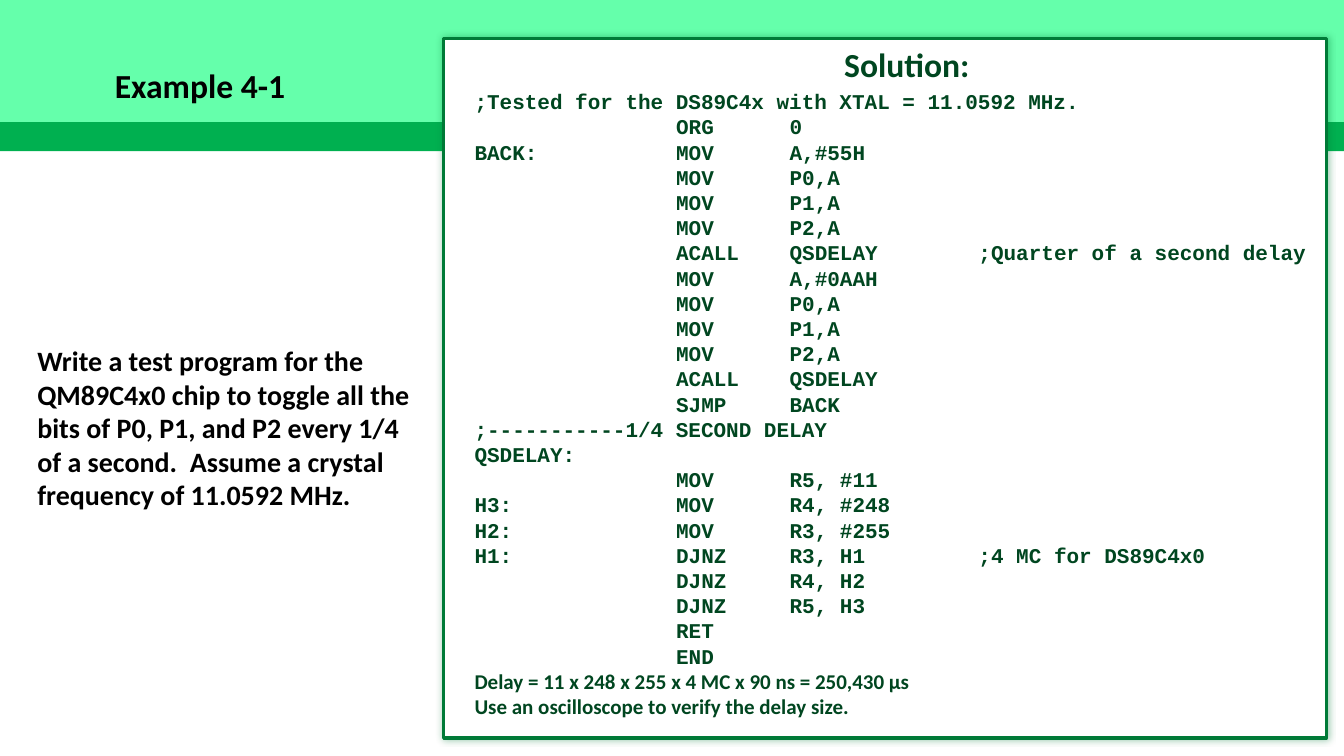
from lxml import etree
from pptx import Presentation
from pptx import util as u
from pptx.dml.color import RGBColor
from pptx.enum import shapes, text
from pptx.oxml.ns import qn

TITLE = "Example 4-1"
TASK = ("Write a test program for the QM89C4x0 chip to toggle all the bits of "
        "P0, P1, and P2 every 1/4 of a second.  Assume a crystal frequency of "
        "11.0592 MHz.")
SOLUTION = "Solution: "

# Each row: label, mnemonic, operand, comment
PROGRAM = [
    (";Tested for the DS89C4x with XTAL = 11.0592 MHz.",),
    ("", "ORG", "0"),
    ("BACK:", "MOV", "A,#55H"),
    ("", "MOV", "P0,A"),
    ("", "MOV", "P1,A"),
    ("", "MOV", "P2,A"),
    ("", "ACALL", "QSDELAY", ";Quarter of a second delay"),
    ("", "MOV", "A,#0AAH"),
    ("", "MOV", "P0,A"),
    ("", "MOV", "P1,A"),
    ("", "MOV", "P2,A"),
    ("", "ACALL", "QSDELAY"),
    ("", "SJMP", "BACK"),
    (";-----------1/4 SECOND DELAY",),
    ("QSDELAY:",),
    ("", "MOV", "R5, #11"),
    ("H3:", "MOV", "R4, #248"),
    ("H2:", "MOV", "R3, #255"),
    ("H1:", "DJNZ", "R3, H1", ";4 MC for DS89C4x0"),
    ("", "DJNZ", "R4, H2"),
    ("", "DJNZ", "R5, H3"),
    ("", "RET"),
    ("", "END"),
]
NOTES = ["Delay = 11 x 248 x 255 x 4 MC x 90 ns = 250,430 µs",
         "Use an oscilloscope to verify the delay size."]

BLACK = RGBColor(0x00, 0x00, 0x00)
WHITE = RGBColor(0xFF, 0xFF, 0xFF)
BAND_DARK = RGBColor(0x00, 0xB0, 0x50)
BAND_LIGHT = RGBColor(0x65, 0xFF, 0xAB)
FRAME = RGBColor(0x00, 0x7A, 0x37)
CODE_GREEN = RGBColor(0x00, 0x46, 0x20)

SLIDE_W, SLIDE_H = 33.87, 19.05
TAB_STOPS = (5.08, 7.94, 12.7)  # mnemonic, operand, comment

deck = Presentation()
deck.slide_width, deck.slide_height = u.Cm(SLIDE_W), u.Cm(SLIDE_H)
slide = deck.slides.add_slide(deck.slide_layouts[5])


def place(shape, left, top, width, height):
    shape.left, shape.top = u.Cm(left), u.Cm(top)
    shape.width, shape.height = u.Cm(width), u.Cm(height)


def add_panel(left, top, width, height, fill):
    panel = slide.shapes.add_shape(shapes.MSO_SHAPE.RECTANGLE, u.Cm(left),
                                   u.Cm(top), u.Cm(width), u.Cm(height))
    panel.shadow.inherit = False
    panel.fill.solid()
    panel.fill.fore_color.rgb = fill
    panel.line.fill.background()
    return panel


def write(frame, line, size=20, font="Calibri", color=BLACK,
          align=text.PP_ALIGN.LEFT, tabs=(), spacing=None, more=False):
    """Write one bold paragraph; more=True adds it below the earlier ones."""
    frame.word_wrap = True
    frame.auto_size = text.MSO_AUTO_SIZE.NONE
    frame.vertical_anchor = text.MSO_ANCHOR.TOP
    paragraph = frame.add_paragraph() if more else frame.paragraphs[0]
    paragraph.alignment = align
    if spacing:
        paragraph.line_spacing = u.Pt(spacing)
    if tabs:
        tab_list = etree.SubElement(paragraph._p.get_or_add_pPr(), qn("a:tabLst"))
        for stop in tabs:
            etree.SubElement(tab_list, qn("a:tab"), pos=str(u.Cm(stop)), algn="l")
    run = paragraph.add_run()
    run.text = line
    run.font.name, run.font.size, run.font.bold = font, u.Pt(size), True
    run.font.color.rgb = color


def add_text_frame(left, top, width, height):
    return slide.shapes.add_textbox(u.Cm(left), u.Cm(top), u.Cm(width),
                                    u.Cm(height)).text_frame


# Header bands
add_panel(0, 0, SLIDE_W, 3.81, BAND_DARK)
add_panel(0, 0, SLIDE_W, 3.07, BAND_LIGHT)

# Framed solution panel with a soft glow-like shadow
solution_panel = add_panel(11.18, 0.97, 22.25, 17.63, WHITE)
solution_panel.line.color.rgb = FRAME
solution_panel.line.width = u.Pt(2.25)
effects = solution_panel._element.spPr.find(qn("a:effectLst"))
shadow = etree.SubElement(effects, qn("a:outerShdw"), blurRad=str(u.Pt(5)),
                          dist="0", dir="0", algn="ctr", rotWithShape="0")
shadow_color = etree.SubElement(shadow, qn("a:srgbClr"), val=str(FRAME))
etree.SubElement(shadow_color, qn("a:alpha"), val="40000")

# Title, brought in front of the bands
title = slide.shapes.title
place(title, 2.64, 1.52, 28.6, 1.27)
slide.shapes._spTree.append(title._element)
write(title.text_frame, TITLE, size=24)

# Task
write(add_text_frame(0.69, 8.53, 10.06, 4.52), TASK)

# Program listing, its columns held by tab stops, then the notes
listing = add_text_frame(11.71, 2.11, 21.51, 16.92)
for number, row in enumerate(PROGRAM):
    write(listing, "\t".join(row), size=15, font="Courier New", color=CODE_GREEN,
          tabs=TAB_STOPS, spacing=18, more=number > 0)
for note in NOTES:
    write(listing, note, size=15, color=CODE_GREEN, spacing=18, more=True)

# Solution heading
write(add_text_frame(12.88, 0.97, 20.14, 1.27), SOLUTION, size=24,
      color=CODE_GREEN, align=text.PP_ALIGN.CENTER)

deck.save("out.pptx")
